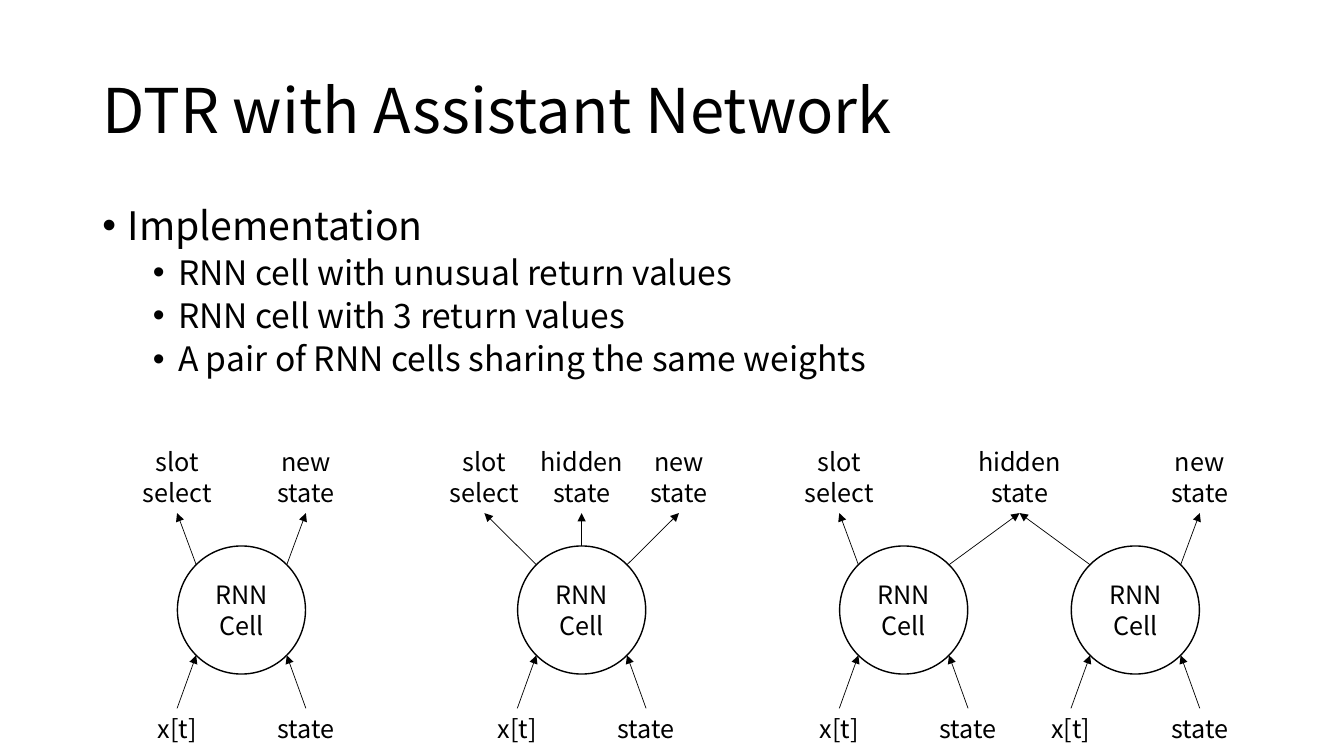
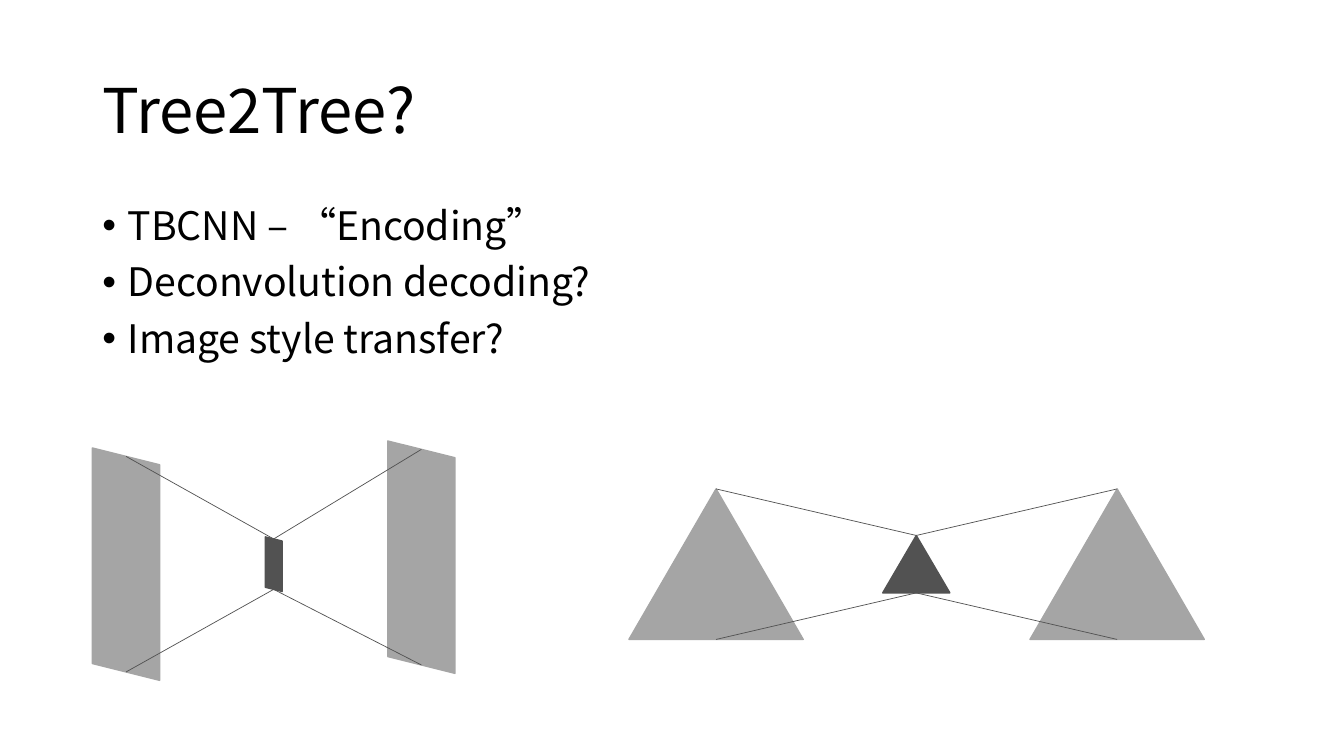
from itertools import pairwise

from lxml import etree
from pptx import Presentation
from pptx.dml.color import RGBColor
from pptx.enum.shapes import MSO_CONNECTOR, MSO_SHAPE
from pptx.enum.text import MSO_ANCHOR, MSO_AUTO_SIZE, PP_ALIGN
from pptx.oxml.ns import qn
from pptx.util import Pt

LEFT, CENTER = PP_ALIGN.LEFT, PP_ALIGN.CENTER
TOP, MIDDLE = MSO_ANCHOR.TOP, MSO_ANCHOR.MIDDLE
NO_FIT = MSO_AUTO_SIZE.NONE
OVAL = MSO_SHAPE.OVAL
PARALLELOGRAM = MSO_SHAPE.PARALLELOGRAM
TRIANGLE = MSO_SHAPE.ISOSCELES_TRIANGLE
STRAIGHT = MSO_CONNECTOR.STRAIGHT
SITE_TOP, SITE_BOTTOM = 0, 2

FONT = "Noto Sans CJK SC"
COLORS = {"ink": "000000", "light": "A5A5A5", "dark": "525252"}

# Size, space before and left margin of each list level
LEVELS = [(28, 10, 18), (24, 5, 54)]

CELL_SIZE, CELL_TOP = 91.5, 390
CELL_DIAGONAL = CELL_SIZE / 2 * 0.5 ** 0.5
LABEL_WIDTH = 74.5
OUTPUT_TOP, OUTPUT_HEIGHT = 315.5, 51
INPUT_TOP, INPUT_HEIGHT = 506, 29
NEAR, FAR = 46, 69.5
FIGURE_MIDDLE = 403


def color(name):
    return RGBColor.from_string(COLORS[name])


def place(shape, left, top, width, height):
    shape.left, shape.top = Pt(left), Pt(top)
    shape.width, shape.height = Pt(width), Pt(height)


def write(p, text, size=18, align=CENTER, before=0, spacing=1.0):
    p.alignment = align
    p.space_before = Pt(before)
    p.line_spacing = spacing
    r = p.add_run()
    r.text = text
    r.font.size = Pt(size)
    r.font.color.rgb = color("ink")
    r.font.name = FONT
    etree.SubElement(r._r.get_or_add_rPr(), qn("a:ea"), typeface=FONT)


def prepare(tf, anchor):
    tf.word_wrap = True
    tf.auto_size = NO_FIT
    tf.vertical_anchor = anchor


def add_bullet(p, margin):
    pPr = p._p.get_or_add_pPr()
    pPr.set("marL", str(Pt(margin)))
    pPr.set("indent", str(Pt(-18)))
    etree.SubElement(pPr, qn("a:buChar"), char="•")


def add_slide(prs, title, items):
    """Add a slide with a title and a list of (level, text) items."""
    s = prs.slides.add_slide(prs.slide_layouts[1])
    place(s.shapes.title, 66, 29, 828, 104)
    tf = s.shapes.title.text_frame
    prepare(tf, MIDDLE)
    write(tf.paragraphs[0], title, size=44, align=LEFT, spacing=0.9)

    body = s.placeholders[1]
    place(body, 66, 144, 828, 343)
    tf = body.text_frame
    prepare(tf, TOP)
    for i, (level, text) in enumerate(items):
        p = tf.add_paragraph() if i else tf.paragraphs[0]
        size, before, margin = LEVELS[level]
        p.level = level
        add_bullet(p, margin)
        write(p, text, size=size, align=LEFT, before=before if i else 0,
              spacing=0.9)
    return s


def add_line(shapes, start, end, line="ink", arrow=False):
    c = shapes.add_connector(STRAIGHT, *map(Pt, (*start, *end)))
    c.line.color.rgb = color(line)
    c.line.width = Pt(0.5)
    if arrow:
        etree.SubElement(c.line._get_or_add_ln(), qn("a:tailEnd"),
                         type="triangle")
    etree.SubElement(c._element.spPr, qn("a:effectLst"))
    return c


def add_preset(shapes, kind, cx, cy, width, height, line, fill=None):
    """Add a preset shape centred on (cx, cy)."""
    sp = shapes.add_shape(kind, *map(Pt, (cx - width / 2, cy - height / 2,
                                          width, height)))
    sp.shadow.inherit = False
    sp.line.color.rgb = color(line)
    sp.line.width = Pt(1)
    if fill:
        sp.fill.solid()
        sp.fill.fore_color.rgb = color(fill)
    else:
        sp.fill.background()
    return sp


def add_label(shapes, text, cx, top, height):
    sp = shapes.add_textbox(*map(Pt, (cx - LABEL_WIDTH / 2, top,
                                      LABEL_WIDTH, height)))
    prepare(sp.text_frame, TOP)
    write(sp.text_frame.paragraphs[0], text)
    return sp


def add_output(shapes, text, cx):
    return add_label(shapes, text, cx, OUTPUT_TOP, OUTPUT_HEIGHT)


def add_cell(shapes, cx):
    """Add an RNN cell with its two inputs."""
    cy = CELL_TOP + CELL_SIZE / 2
    cell = add_preset(shapes, OVAL, cx, cy, CELL_SIZE, CELL_SIZE, "ink")
    prepare(cell.text_frame, MIDDLE)
    write(cell.text_frame.paragraphs[0], "RNN Cell")
    for text, side in (("x[t]", -1), ("state", 1)):
        x = cx + side * NEAR
        label = add_label(shapes, text, x, INPUT_TOP, INPUT_HEIGHT)
        rim = (cx + side * CELL_DIAGONAL, cy + CELL_DIAGONAL)
        arrow = add_line(shapes, (x, INPUT_TOP), rim, arrow=True)
        arrow.begin_connect(label, SITE_TOP)
    return cell


def link_output(shapes, cell, cx, label, side):
    """Draw an arrow to label from the cell's left (-1), top (0) or right (1)."""
    rise = CELL_DIAGONAL if side else CELL_SIZE / 2
    rim = (cx + side * CELL_DIAGONAL, CELL_TOP + CELL_SIZE / 2 - rise)
    arrow = add_line(shapes, rim, (cx, OUTPUT_TOP + OUTPUT_HEIGHT), arrow=True)
    if side == 0:
        arrow.begin_connect(cell, SITE_TOP)
    arrow.end_connect(label, SITE_BOTTOM)


def add_network(s, cells, outputs):
    """Group cells (centres) with outputs (text, centre, [(cell index, side)])."""
    shapes = s.shapes.add_group_shape().shapes
    circles = [add_cell(shapes, cx) for cx in cells]
    for text, x, links in outputs:
        label = add_output(shapes, text, x)
        for i, side in links:
            link_output(shapes, circles[i], cells[i], label, side)


def add_funnel(s, ends):
    """Join the (x, middle, half height) ends with lines above and below."""
    for (x1, y1, half1), (x2, y2, half2) in pairwise(ends):
        for side in (-1, 1):
            add_line(s.shapes, (x1, y1 + side * half1),
                     (x2, y2 + side * half2), line="dark")


def add_panels(s, panels):
    ends = []
    for cx, cy, height, width, fill in panels:
        sp = add_preset(s.shapes, PARALLELOGRAM, cx, cy, height, width,
                        fill, fill)
        sp.rotation = 90
        ends.append((cx, cy, (height - sp.adjustments[0] * width) / 2))
    add_funnel(s, ends)


def add_trees(s, trees):
    for cx, width, height, fill in trees:
        add_preset(s.shapes, TRIANGLE, cx, FIGURE_MIDDLE, width, height,
                   fill, fill)
    add_funnel(s, [(cx, FIGURE_MIDDLE, height / 2)
                   for cx, _, height, _ in trees])


def build_assistant_slide(prs):
    s = add_slide(prs, "DTR with Assistant Network", [
        (0, "Implementation"),
        (1, "RNN cell with unusual return values"),
        (1, "RNN cell with 3 return values"),
        (1, "A pair of RNN cells sharing the same weights"),
    ])
    two, three, first, second = 172.5, 415.5, 645.5, 811
    add_network(s, [two], [
        ("slot select", two - NEAR, [(0, -1)]),
        ("new state", two + NEAR, [(0, 1)]),
    ])
    add_network(s, [three], [
        ("slot select", three - FAR, [(0, -1)]),
        ("hidden state", three, [(0, 0)]),
        ("new state", three + FAR, [(0, 1)]),
    ])
    add_network(s, [first, second], [
        ("slot select", first - NEAR, [(0, -1)]),
        ("hidden state", (first + second) / 2, [(0, 1), (1, -1)]),
        ("new state", second + NEAR, [(1, 1)]),
    ])


def build_tree_slide(prs):
    s = add_slide(prs, "Tree2Tree?", [
        (0, "TBCNN – “Encoding”"),
        (0, "Deconvolution decoding?"),
        (0, "Image style transfer?"),
    ])
    add_panels(s, [
        (90, FIGURE_MIDDLE, 166, 48, "light"),
        (195.5, FIGURE_MIDDLE, 39, 12, "dark"),
        (301, FIGURE_MIDDLE - 5, 166, 48, "light"),
    ])
    add_trees(s, [
        (511.5, 124.5, 107.5, "light"),
        (654.5, 48, 41, "dark"),
        (798, 124.5, 107.5, "light"),
    ])


def main():
    prs = Presentation()
    prs.slide_width, prs.slide_height = Pt(960), Pt(540)
    build_assistant_slide(prs)
    build_tree_slide(prs)
    prs.save("out.pptx")


if __name__ == "__main__":
    main()
